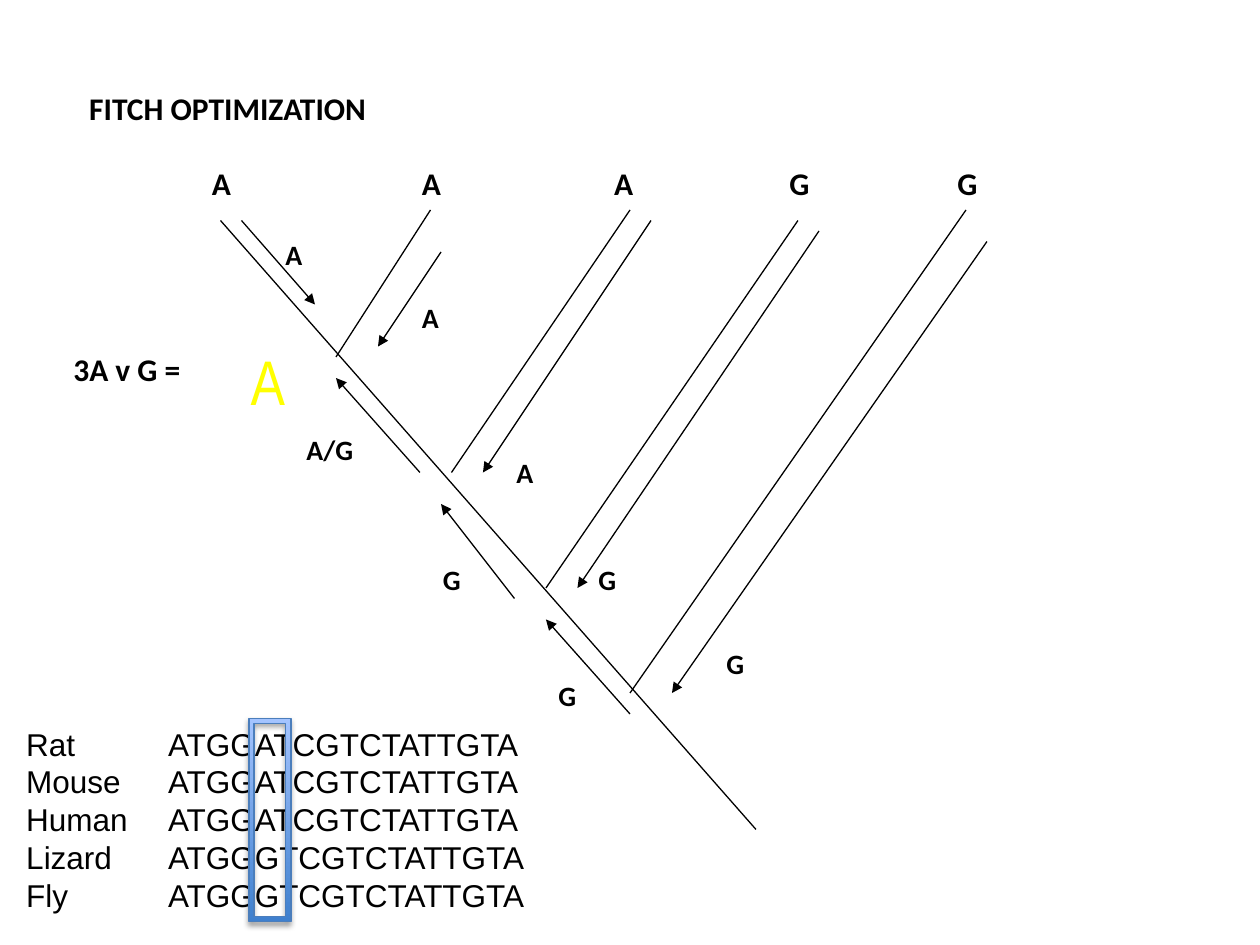
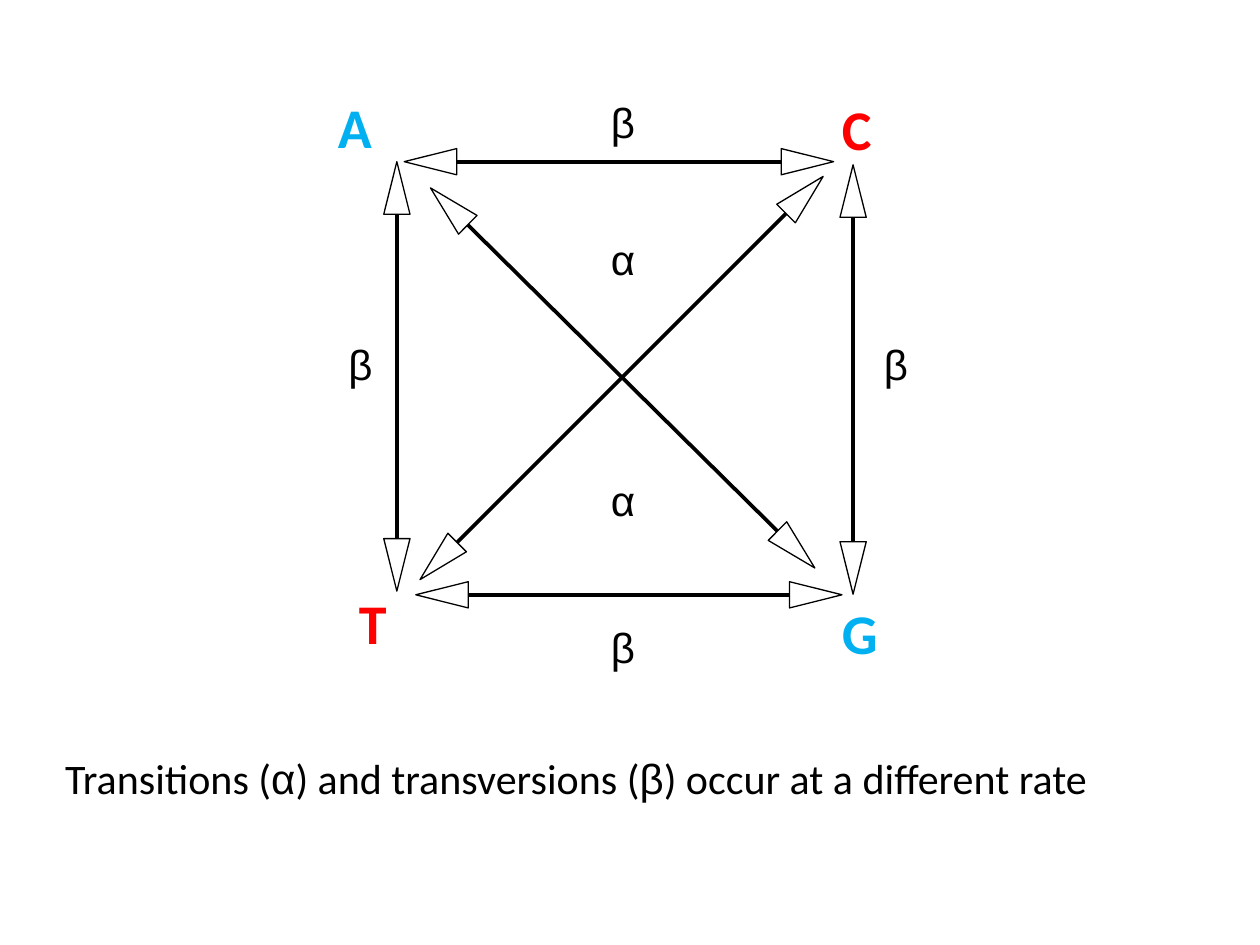
"""Build two slides on tree optimization and base substitution rates."""
from dataclasses import dataclass
from math import hypot

from lxml.etree import SubElement as Sub
from pptx import Presentation as Deck
from pptx.dml.color import RGBColor as RGB
from pptx.enum.shapes import MSO_CONNECTOR as Link, MSO_SHAPE as Form
from pptx.enum.text import MSO_ANCHOR as Anchor, MSO_AUTO_SIZE as Fit, PP_ALIGN as Align
from pptx.oxml.ns import qn
from pptx.util import Inches, Pt


@dataclass(frozen=True)
class Theme:
    """Colours, fonts and sizes shared by the slides."""
    ink: str = "000000"
    paper: str = "FFFFFF"
    blue: str = "00B0F0"
    red: str = "FF0000"
    glow: tuple = ("FFFF00", "FF9933")
    steel: tuple = ("3F80CE", "A4C4FF")
    edge: str = "4B7EBC"
    sans: str = "Calibri"
    plain: str = "Arial"
    slim: str = "Arial Narrow"
    small: int = 16
    base: int = 18
    large: int = 24
    huge: int = 32
    giant: int = 36
    pitch: float = 21.6
    thin: float = 0.75
    thick: float = 2.13


class Board:
    """Draw on the current slide in a grid of 120 columns by 90 rows."""

    def __init__(self, deck, theme):
        """Keep the deck and theme and size one grid cell."""
        self.deck, self.theme = deck, theme
        self.cell = deck.slide_width / 120
        self.slide = None

    def start(self, layout):
        """Add a slide and make it current."""
        self.slide = self.deck.slides.add_slide(self.deck.slide_layouts[layout])

    def span(self, *cells):
        """Turn grid cells into whole lengths."""
        return [round(n * self.cell) for n in cells]

    def style(self, run, size, font=None, bold=False, tint=None):
        """Format one run."""
        face = run.font
        face.size, face.bold = Pt(size), bold
        face.name = font or self.theme.sans
        face.color.rgb = RGB.from_string(tint or self.theme.ink)

    def place(self, holder, *box):
        """Move a placeholder and align its text to the top."""
        holder.left, holder.top, holder.width, holder.height = self.span(*box)
        frame = holder.text_frame
        frame.auto_size, frame.vertical_anchor = Fit.NONE, Anchor.TOP
        frame.word_wrap = True
        return frame

    def title(self, parts, box, size, bold=False):
        """Fill the title from pairs of words and font."""
        para = self.place(self.slide.shapes.title, *box).paragraphs[0]
        para.alignment = Align.LEFT
        for words, font in parts:
            run = para.add_run()
            run.text = words
            self.style(run, size, font, bold)

    def rows(self, slot, items, box):
        """Fill one body placeholder with a plain list."""
        frame = self.place(self.slide.placeholders[slot], *box)
        frame.text = "\n".join(items)
        for para in frame.paragraphs:
            prop = para._p.get_or_add_pPr()
            prop.set("marL", "0")
            prop.set("indent", "0")
            Sub(prop, qn("a:buNone"))
            para.space_before, para.line_spacing = Pt(0), Pt(self.theme.pitch)
            for run in para.runs:
                self.style(run, self.theme.base, self.theme.plain)

    def label(self, words, col, row, size, wide=6.5, **look):
        """Write a short label and return its run."""
        box = self.slide.shapes.add_textbox(*self.span(col, row, wide, size / 3))
        frame = box.text_frame
        frame.text, frame.word_wrap = words, True
        run = frame.paragraphs[0].runs[0]
        self.style(run, size, **look)
        return run

    def blend(self, fill, tints):
        """Set a gradient of two colours."""
        fill.gradient()
        for stop, tint in zip(fill.gradient_stops, tints):
            stop.color.rgb = RGB.from_string(tint)

    def glow(self, words, col, row):
        """Write a large letter with a gradient from its centre."""
        run = self.label(words, col, row, self.theme.giant, font=self.theme.slim)
        self.blend(run.font.fill, self.theme.glow)
        grad = run._r.rPr.find(qn("a:gradFill"))
        grad.remove(grad.find(qn("a:lin")))
        ring = Sub(grad, qn("a:path"), path="rect")
        Sub(ring, qn("a:fillToRect"), l="50000", t="50000", r="50000", b="50000")

    def line(self, ends, width=None, tip=False, home=None):
        """Draw a straight line, with an arrow tip if asked."""
        shapes = home or self.slide.shapes
        wire = shapes.add_connector(Link.STRAIGHT, *self.span(*ends))
        wire.line.color.rgb = RGB.from_string(self.theme.ink)
        wire.line.width = Pt(width or self.theme.thin)
        prop = wire.element.spPr
        if tip:
            Sub(prop.find(qn("a:ln")), qn("a:tailEnd"), type="triangle")
        Sub(prop, qn("a:effectLst"))

    def head(self, home, tip, neck, side):
        """Draw one hollow arrowhead."""
        (x, y), (dx, dy) = neck, side
        path = home.build_freeform(*self.span(*tip), scale=1.0)
        path.add_line_segments([self.span(x + dx, y + dy), self.span(x - dx, y - dy)])
        shape = path.convert_to_shape()
        shape.shadow.inherit = False
        shape.fill.solid()
        shape.fill.fore_color.rgb = RGB.from_string(self.theme.paper)
        shape.line.color.rgb = RGB.from_string(self.theme.ink)
        shape.line.width = Pt(self.theme.thin)

    def swap(self, x, y, far, low, long=5, half=1.25):
        """Draw a line with a hollow head at both ends."""
        home = self.slide.shapes.add_group_shape().shapes
        size = hypot(far - x, low - y)
        ux, uy = (far - x) / size, (low - y) / size
        side = (-uy * half, ux * half)
        necks = (x + ux * long, y + uy * long), (far - ux * long, low - uy * long)
        for tip, neck in zip(((x, y), (far, low)), necks):
            self.head(home, tip, neck, side)
        self.line(necks[0] + necks[1], self.theme.thick, home=home)

    def frame(self, *box):
        """Draw a shaded frame with a soft shadow."""
        shape = self.slide.shapes.add_shape(Form.FRAME, *self.span(*box))
        self.blend(shape.fill, self.theme.steel)
        shape.fill.gradient_angle = 90
        shape.line.color.rgb = RGB.from_string(self.theme.edge)
        shape.line.width = Pt(self.theme.thin)
        shape.shadow.inherit = False
        glow = shape.element.spPr.find(qn("a:effectLst"))
        cast = Sub(glow, qn("a:outerShdw"), blurRad=str(Pt(3.1)), dist=str(Pt(1.8)),
                   dir="5400000", rotWithShape="0")
        Sub(Sub(cast, qn("a:srgbClr"), val=self.theme.ink), qn("a:alpha"), val="35000")


def fitch(board):
    """Build the tree with its passes and the aligned sequences."""
    look = board.theme
    board.start(3)
    board.title([("FITCH OPTIMIZATION", look.sans)], (7.3, 7.9, 55.7, 6), look.base, True)
    for base, col in zip("AAAGG", (19, 39, 57.3, 74, 90)):
        board.label(base, col, 15, look.base, bold=True)
    tree = ((21, 21, 72, 79), (41, 20, 32, 34), (43, 45, 60, 20),
            (52, 56, 76, 21), (60, 66, 92, 20))
    passes = ((23, 21, 30, 29), (42, 24, 36, 33), (40, 45, 32, 36), (62, 21, 46, 45),
              (78, 22, 55, 56), (94, 23, 64, 66), (60, 68, 52, 59), (49, 57, 42, 48))
    for ends in tree:
        board.line(ends)
    for ends in passes:
        board.line(ends, tip=True)
    marks = (("A", 26, 22), ("A", 39, 28), ("A/G", 28, 40.6), ("A", 48, 42.8),
             ("G", 41, 53), ("G", 55.8, 53), ("G", 52, 64), ("G", 68, 61))
    for words, col, row in marks:
        board.label(words, col, row, look.small, wide=8, bold=True)
    board.label("3A v G =", 5.8, 32.7, look.base, wide=14, bold=True)
    board.glow("A", 22.7, 32)
    top, high = 68.4, 19.4
    board.rows(1, ("Rat", "Mouse", "Human", "Lizard", "Fly"), (1.3, top, 13.5, high))
    board.rows(2, [f"ATGG{base}TCGTCTATTGTA" for base in "AAAGG"],
               (14.8, top, 47.2, high))
    board.frame(23.7, top, 4, high)


def rates(board):
    """Build the square of base changes and its caption."""
    look = board.theme
    board.start(5)
    parts = zip(("Transitions (", "α", ") and transversions (", "β",
                 ") occur at a different rate"),
                (look.sans, look.plain) * 2 + (look.sans,))
    board.title(parts, (5, 71.1, 110.5, 6), look.large)
    edges = ((38.5, 15.4, 79.4, 15.4), (39.6, 56.65, 80.2, 56.65),
             (81.25, 15.7, 81.25, 56.6), (37.8, 15.4, 37.8, 56.3))
    cross = ((40, 55.2, 78.4, 16.8), (41, 17.9, 77.6, 54.1))
    for ends in edges + cross:
        board.swap(*ends)
    bases = (("A", 31, 8.2, look.blue), ("T", 33, 55.5, look.red),
             ("C", 79, 8.4, look.red), ("G", 79, 56.4, look.blue))
    for base, col, row, tint in bases:
        board.label(base, col, row, look.huge, bold=True, tint=tint)
    signs = (("β", 32, 31.6), ("β", 83, 31.6), ("β", 57, 8.6),
             ("β", 57, 58.6), ("α", 57, 21.6), ("α", 57, 44.6))
    for sign, col, row in signs:
        board.label(sign, col, row, look.large, font=look.plain)


def main():
    """Build and save the deck."""
    deck = Deck()
    deck.slide_width, deck.slide_height = Inches(10), Inches(7.5)
    board = Board(deck, Theme())
    fitch(board)
    rates(board)
    deck.save("out.pptx")


if __name__ == "__main__":
    main()
